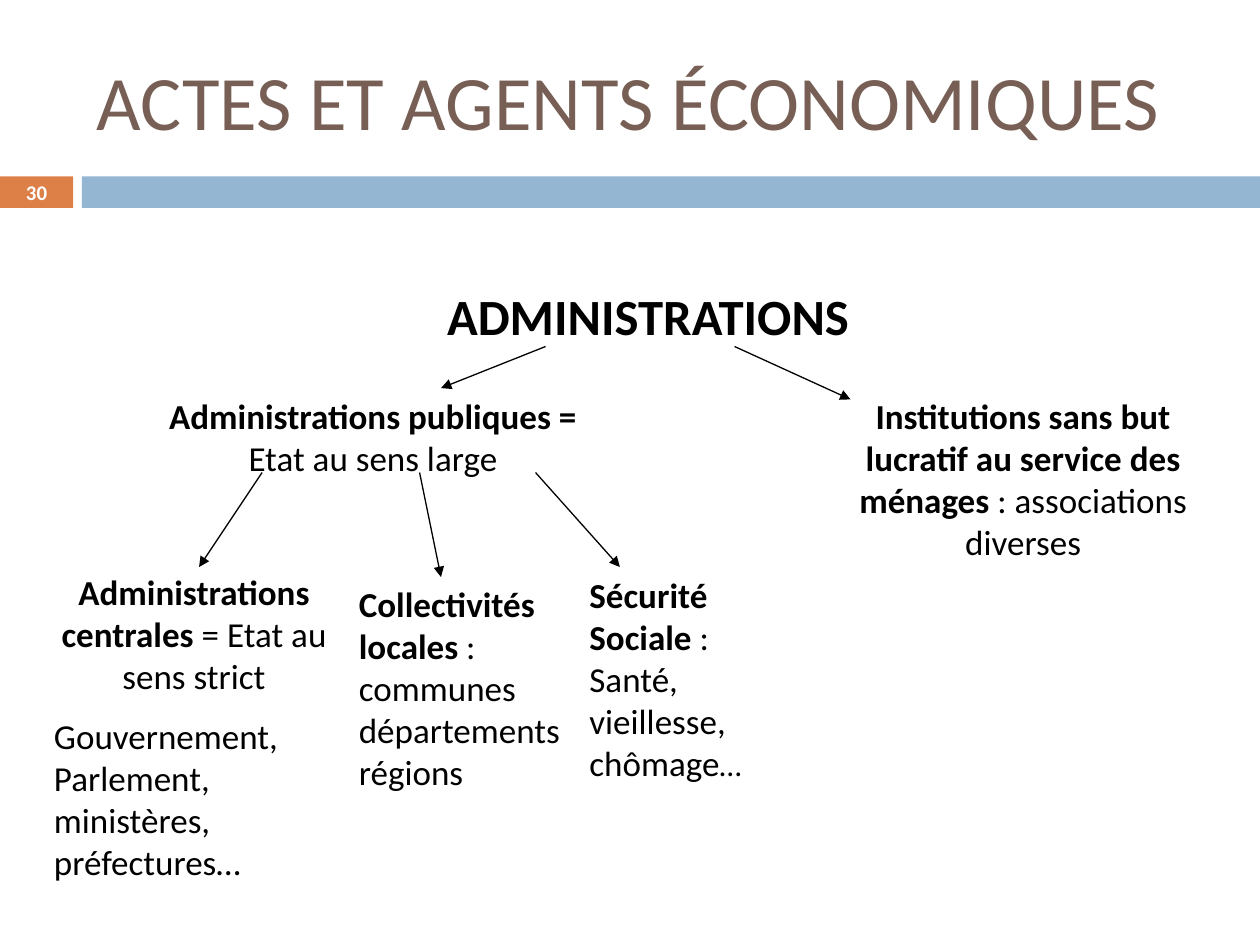
import pptx
import pptx.util
import pptx.dml.color
import pptx.enum.shapes
import pptx.enum.text
import lxml.etree
import pptx.oxml.ns

Inches, Pt = pptx.util.Inches, pptx.util.Pt
RGBColor = pptx.dml.color.RGBColor
ALIGN = pptx.enum.text.PP_ALIGN
ANCHOR = pptx.enum.text.MSO_ANCHOR

FONT = "Calibri"
BLACK = RGBColor(0, 0, 0)
WHITE = RGBColor(0xFF, 0xFF, 0xFF)
BROWN = RGBColor(0x77, 0x5F, 0x55)
ORANGE = RGBColor(0xDD, 0x80, 0x47)
BLUE = RGBColor(0x94, 0xB6, 0xD2)


def add_text(slide, box, paragraphs, size=20, color=BLACK, anchor=ANCHOR.TOP, gap=0):
    """Each paragraph is (alignment, bold text, regular text)."""
    shape = slide.shapes.add_textbox(*map(Inches, box))
    frame = shape.text_frame
    frame.word_wrap = True
    frame.vertical_anchor = anchor
    for index, (alignment, bold_text, regular_text) in enumerate(paragraphs):
        paragraph = frame.add_paragraph() if index else frame.paragraphs[0]
        paragraph.alignment = alignment
        paragraph.space_before = Pt(gap if index else 0)
        for text, bold in ((bold_text, True), (regular_text, False)):
            if text:
                run = paragraph.add_run()
                run.text = text
                run.font.name = FONT
                run.font.size = Pt(size)
                run.font.bold = bold
                run.font.color.rgb = color
    return shape


def add_bar(slide, box, color):
    shape = slide.shapes.add_shape(
        pptx.enum.shapes.MSO_SHAPE.RECTANGLE, *map(Inches, box))
    shape.shadow.inherit = False
    shape.fill.solid()
    shape.fill.fore_color.rgb = color
    shape.line.fill.background()


def add_arrow(slide, start, end):
    connector = slide.shapes.add_connector(
        pptx.enum.shapes.MSO_CONNECTOR.STRAIGHT, *map(Inches, start + end))
    connector.line.color.rgb = BLACK
    connector.line.width = Pt(0.75)
    qn = pptx.oxml.ns.qn
    line = connector.line._get_or_add_ln()
    lxml.etree.SubElement(line, qn("a:tailEnd"), type="triangle")
    lxml.etree.SubElement(connector._element.spPr, qn("a:effectLst"))


def add_header(slide, left, top, width):
    # Title above a two-part band holding the slide number
    number_width, band_height, band_top = 0.58, 0.25, top + 1.4
    add_bar(slide, (left, band_top, number_width, band_height), ORANGE)
    add_bar(slide, (left + 0.65, band_top, width - 0.65, band_height), BLUE)
    add_text(slide, (left + 0.67, top + 0.25, 8.92, 1.08),
             [(ALIGN.LEFT, "", "ACTES ET AGENTS ÉCONOMIQUES")],
             size=44, color=BROWN, anchor=ANCHOR.MIDDLE)
    add_text(slide, (left, band_top - 0.01, number_width, 0.27),
             [(ALIGN.CENTER, "30", "")], size=11.9, color=WHITE, anchor=ANCHOR.MIDDLE)


def add_tree(slide, left, top):
    nodes = [
        # Second level
        ((0.67, 0.87, 3.92, 0.77),
         [(ALIGN.CENTER, "Administrations publiques =", " Etat au sens large")]),
        ((6.25, 0.87, 3.08, 1.77),
         [(ALIGN.CENTER, "Institutions sans but lucratif au service des ménages ",
           ": associations diverses")]),
        # Third level
        ((0, 2.27, 2.42, 2.6),
         [(ALIGN.CENTER, "Administrations centrales", " = Etat au sens strict"),
          (ALIGN.LEFT, "", "Gouvernement, Parlement, ministères, préfectures…")]),
        ((2.42, 2.36, 2, 1.77),
         [(ALIGN.LEFT, "Collectivités locales", " : communes départements régions")]),
    ]
    arrows = [
        ((4, 0.54), (3.17, 0.87)),
        ((5.5, 0.54), (6.42, 0.96)),
        ((1.75, 1.54), (1.25, 2.29)),
        ((3, 1.54), (3.17, 2.37)),
        ((3.92, 1.54), (4.59, 2.29)),
    ]
    # Root
    add_text(slide, (left + 0.17, top, 9.29, 4.5),
             [(ALIGN.CENTER, "ADMINISTRATIONS", "")], size=29)
    for (x, y, width, height), paragraphs in nodes:
        add_text(slide, (left + x, top + y, width, height), paragraphs, gap=10)
    # Social security: the closing ellipsis is slightly smaller
    security = add_text(slide, (left + 4.25, top + 2.29, 1.5, 2.17),
                        [(ALIGN.LEFT, "Sécurité Sociale", " :"),
                         (ALIGN.LEFT, "", "Santé, vieillesse, chômage")])
    ellipsis = security.text_frame.paragraphs[1].add_run()
    ellipsis.text = "…"
    ellipsis.font.name = FONT
    ellipsis.font.size = Pt(18)
    ellipsis.font.color.rgb = BLACK
    for start, end in arrows:
        add_arrow(slide, *((left + x, top + y) for x, y in (start, end)))


presentation = pptx.Presentation()
presentation.slide_width = Inches(10)
presentation.slide_height = Inches(7.5)
slide = presentation.slides.add_slide(presentation.slide_layouts[6])
add_header(slide, 0, 0, 10)
add_tree(slide, 0.33, 2.21)
presentation.save("out.pptx")
